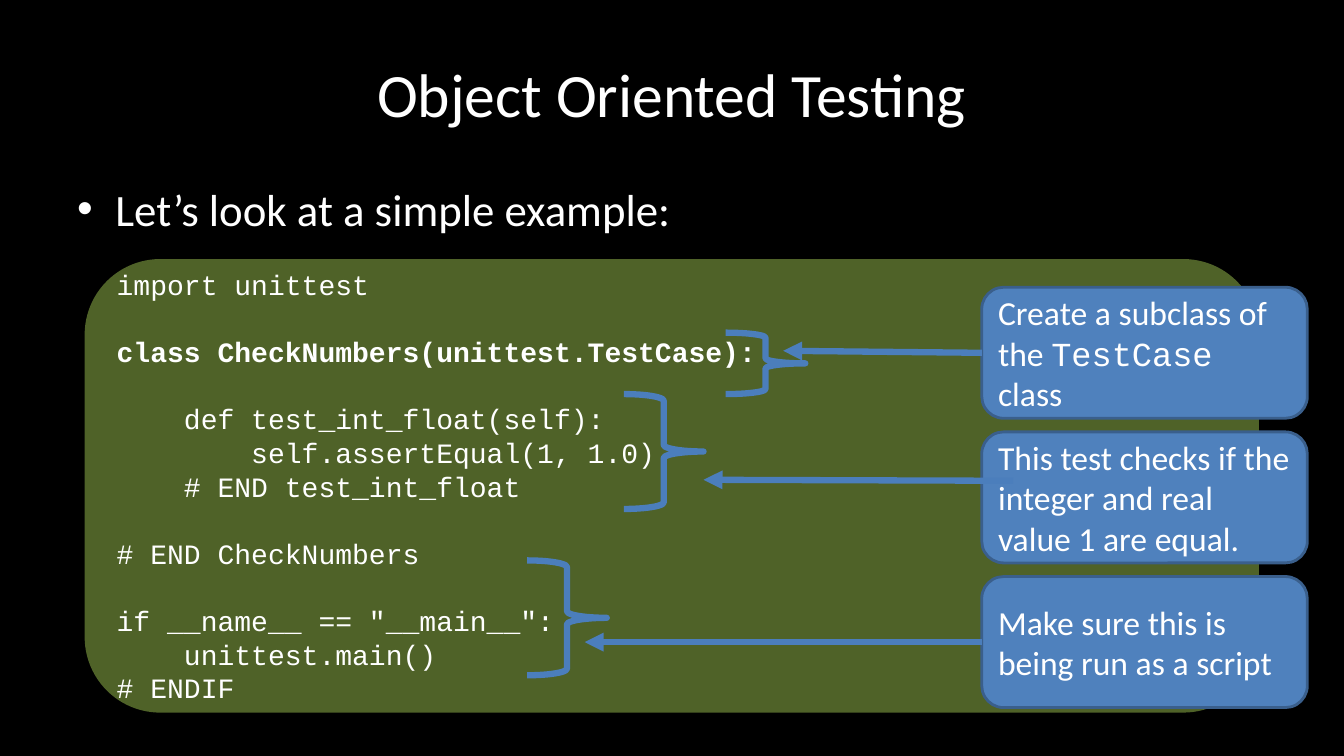
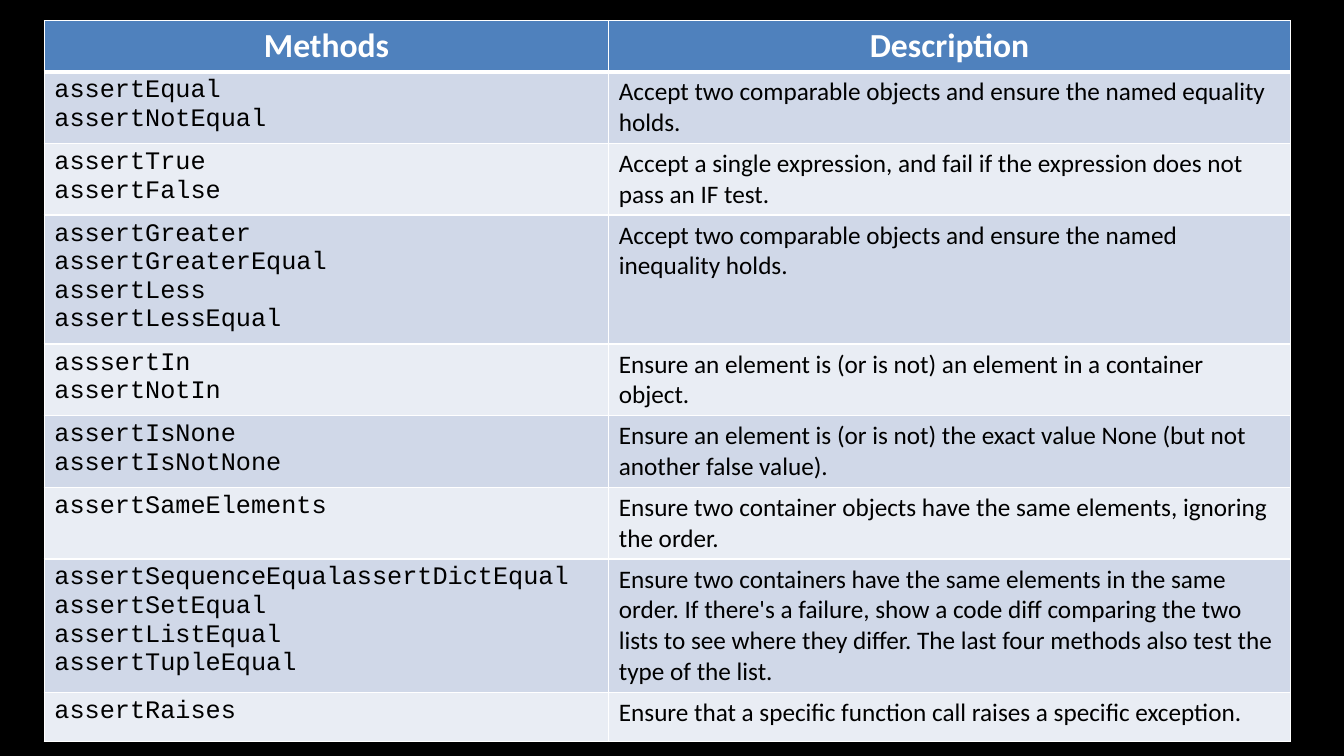
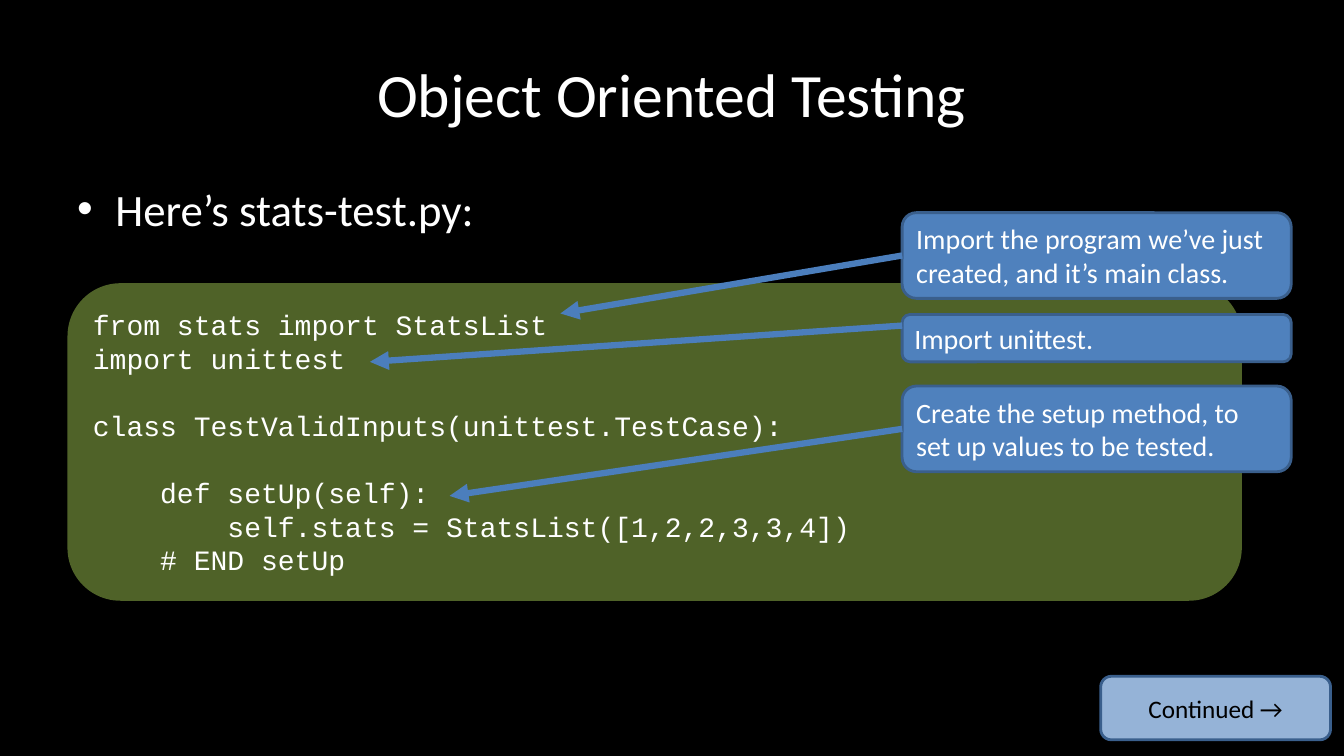
from lxml import etree
from pptx import Presentation
from pptx.dml.color import RGBColor
from pptx.enum.shapes import MSO_CONNECTOR, MSO_SHAPE
from pptx.enum.text import MSO_ANCHOR, PP_ALIGN
from pptx.oxml.ns import qn
from pptx.util import Inches, Pt

ROUND, BRACE = MSO_SHAPE.ROUNDED_RECTANGLE, MSO_SHAPE.RIGHT_BRACE
STRAIGHT = MSO_CONNECTOR.STRAIGHT
LEFT, CENTER = PP_ALIGN.LEFT, PP_ALIGN.CENTER
TOP, MIDDLE = MSO_ANCHOR.TOP, MSO_ANCHOR.MIDDLE
WEST = 1  # connection site on the left side

# Shared look: a grid of 40 columns by 30 rows
WIDTH, HEIGHT = Inches(13.33), Inches(7.5)
COL, ROW = WIDTH / 40, HEIGHT / 30
SANS, MONO = "Calibri", "Courier New"
COLORS = {
    "back": "000000", "white": "FFFFFF", "black": "000000",
    "code": "4F6228", "note": "4F81BD", "edge": "3A5F8C",
    "line": "4B7EBC", "next": "95B3D7", "odd": "D0D8E8", "even": "E9EDF4",
}
TITLE = "Object Oriented Testing"

# Slide 1 content
CHECK = '''import unittest

class CheckNumbers(unittest.TestCase):

    def test_int_float(self):
        self.assertEqual(1, 1.0)
    # END test_int_float

# END CheckNumbers

if __name__ == "__main__":
    unittest.main()
# ENDIF'''
CHECK_NOTES = [  # runs, arrow tip, arrow start if off the side's middle
    ([("Create a subclass of the ", SANS), ("TestCase ", MONO), ("class", SANS)],
     (23.31, 13.92), None),
    ([("This test checks if the integer and real value 1 are equal.", SANS)],
     (20.94, 19.04), (30.15, 19.08)),
    ([("Make sure this is being run as a script", SANS)],
     (17.4, 25.48), None),
]
BRACES = [(21.6, 13.2, 2.44), (18.57, 15.64, 4.56), (15.69, 22.24, 4.56)]

# Slide 2 content
METHODS = [  # row height, methods, description
    (2.76, "assertEqual\nassertNotEqual",
     "Accept two comparable objects and ensure the named equality holds."),
    (2.76, "assertTrue\nassertFalse",
     "Accept a single expression, and fail if the expression does not pass an IF test."),
    (5.12, "assertGreater\nassertGreaterEqual\nassertLess\nassertLessEqual",
     "Accept two comparable objects and ensure the named inequality holds."),
    (2.76, "asssertIn\nassertNotIn",
     "Ensure an element is (or is not) an element in a container object."),
    (2.76, "assertIsNone\nassertIsNotNone",
     "Ensure an element is (or is not) the exact value None (but not another false value)."),
    (2.76, "assertSameElements",
     "Ensure two container objects have the same elements, ignoring the order."),
    (5.12, "assertSequenceEqualassertDictEqual\nassertSetEqual\nassertListEqual\nassertTupleEqual",
     "Ensure two containers have the same elements in the same order. If there's a failure, "
     "show a code diff comparing the two lists to see where they differ. "
     "The last four methods also test the type of the list."),
    (1.96, "assertRaises",
     "Ensure that a specific function call raises a specific exception."),
]

# Slide 3 content
SETUP = '''from stats import StatsList
import unittest

class TestValidInputs(unittest.TestCase):

    def setUp(self):
        self.stats = StatsList([1,2,2,3,3,4])
    # END setUp'''
SETUP_NOTES = [  # top, height, text, arrow tip, arrow start
    (8.44, 3.4, "Import the program we’ve just created, and it’s main class.",
     (16.68, 12.44), None),
    (12.48, 1.88, "Import unittest.", (11.01, 14.36), (26.85, 12.92)),
    (15.32, 3.4, "Create the setup method, to set up values to be tested.",
     (13.38, 19.68), None),
]


def color(name):
    return RGBColor.from_string(COLORS[name])


def place(*nums):
    """Turn column and row pairs into lengths."""
    return [int(n * (ROW if i % 2 else COL)) for i, n in enumerate(nums)]


def style(para, size, ink="white", face=None, bold=False, align=LEFT):
    para.alignment = align
    font = para.font
    font.size, font.bold = Pt(size), bold
    font.color.rgb = color(ink)
    if face:
        font.name = face


def lines(frame, texts):
    """Yield one filled paragraph for each text."""
    for i, text in enumerate(texts):
        para = frame.add_paragraph() if i else frame.paragraphs[0]
        para.add_run().text = text
        yield para


def page(deck):
    slide = deck.slides.add_slide(deck.slide_layouts[6])
    fill = slide.background.fill
    fill.solid()
    fill.fore_color.rgb = color("back")
    return slide


def label(slide, box, text, size, align=LEFT, anchor=TOP, bullet=False):
    frame = slide.shapes.add_textbox(*place(*box)).text_frame
    frame.word_wrap, frame.vertical_anchor = True, anchor
    para, = lines(frame, [text])
    if bullet:
        props = para._p.get_or_add_pPr()
        props.set("marL", str(Inches(0.38)))
        props.set("indent", str(-Inches(0.38)))
        etree.SubElement(props, qn("a:buFont"), typeface="Arial")
        etree.SubElement(props, qn("a:buChar"), char="•")
    style(para, size, face=SANS, align=align)


def heading(slide, point):
    label(slide, (2, 1.2, 36, 5), TITLE, 44, CENTER, MIDDLE)
    label(slide, (2, 7, 36, 19.8), point, 32, bullet=True)


def panel(slide, box, fill, edge=None):
    shape = slide.shapes.add_shape(ROUND, *place(*box))
    shape.shadow.inherit = False
    shape.fill.solid()
    shape.fill.fore_color.rgb = color(fill)
    if edge:
        shape.line.color.rgb = color(edge)
        shape.line.width = Pt(2)
    else:
        shape.line.fill.background()
    frame = shape.text_frame
    frame.word_wrap, frame.vertical_anchor = True, MIDDLE
    return shape


def code(slide, box, text):
    """Show code; an empty line becomes space before the next one."""
    rows = text.split("\n")
    gaps = [i > 0 and not rows[i - 1] for i, row in enumerate(rows) if row]
    frame = panel(slide, box, "code").text_frame
    for para, gap in zip(lines(frame, filter(None, rows)), gaps):
        para.line_spacing = Pt(24)
        if gap:
            para.space_before = Pt(24)
        style(para, 20, face=MONO, bold=para.text.startswith("class Check"))


def note(slide, box, runs, size, fill="note", ink="white", align=LEFT):
    shape = panel(slide, box, fill, "edge")
    para = shape.text_frame.paragraphs[0]
    alone = len(runs) == 1
    for text, face in runs:
        run = para.add_run()
        run.text = text
        if not alone:
            run.font.name = face
    style(para, size, ink, runs[0][1] if alone else None, align=align)
    return shape


def stroke(shape):
    shape.line.color.rgb = color("line")
    shape.line.width = Pt(4.5)


def arrow(slide, shape, tip, start=None):
    """Point from a note, by default from its left side's middle."""
    x, y = place(*start) if start else (shape.left, shape.top + shape.height // 2)
    link = slide.shapes.add_connector(STRAIGHT, x, y, *place(*tip))
    if not start:
        link.begin_connect(shape, WEST)
    stroke(link)
    etree.SubElement(link.line._get_or_add_ln(), qn("a:tailEnd"), type="triangle")
    etree.SubElement(link._element.spPr, qn("a:effectLst"))


def brace(slide, x, y, high):
    shape = slide.shapes.add_shape(BRACE, *place(x, y, 2.37, high))
    shape.shadow.inherit = False
    shape.fill.background()
    stroke(shape)


def border(cell, top=1, bottom=1):
    props = cell._tc.get_or_add_tcPr()
    for side, width in (("L", 1), ("R", 1), ("T", top), ("B", bottom)):
        ln = etree.SubElement(props, qn("a:ln" + side), w=str(Pt(width)))
        fill = etree.SubElement(ln, qn("a:solidFill"))
        etree.SubElement(fill, qn("a:srgbClr"), val=COLORS["white"])


def grid(slide, box, cols, head, body):
    rows = [(1.96, *head)] + body
    table = slide.shapes.add_table(len(rows), len(cols), *place(*box)).table
    table.first_row = table.horz_banding = False
    for col, wide in zip(table.columns, cols):
        col.width = int(wide * COL)
    for i, (high, *texts) in enumerate(rows):
        table.rows[i].height = int(high * ROW)
        for j, text in enumerate(texts):
            cell = table.cell(i, j)
            border(cell, 3 if i == 1 else 1, 1 if i else 3)
            cell.fill.solid()
            band = "odd" if i % 2 else "even"
            cell.fill.fore_color.rgb = color(band if i else "note")
            for para in lines(cell.text_frame, text.split("\n")):
                if i:
                    style(para, 18, "black", SANS if j else MONO)
                else:
                    style(para, 24, face=SANS, bold=True, align=CENTER)


def check(deck):
    slide = page(deck)
    heading(slide, "Let’s look at a simple example:")
    code(slide, (2.52, 10.28, 34.95, 18), CHECK)
    for i, (runs, tip, start) in enumerate(CHECK_NOTES):
        shape = note(slide, (29.22, 11.4 + 5.74 * i, 9.69, 5.2), runs, 24)
        arrow(slide, shape, tip, start)
    for spot in BRACES:
        brace(slide, *spot)


def methods(deck):
    grid(page(deck), (1.32, 0.82, 37.08, 28.36), (16.8, 20.28),
         ("Methods", "Description"), METHODS)


def setup(deck):
    slide = page(deck)
    heading(slide, "Here’s stats-test.py:")
    code(slide, (2.01, 11.24, 34.95, 12.6), SETUP)
    note(slide, (32.76, 26.84, 6.84, 2.52), [("Continued →", SANS)], 18,
         "next", "black", CENTER)
    for top, high, text, tip, start in SETUP_NOTES:
        shape = note(slide, (26.85, top, 11.58, high), [(text, SANS)], 20)
        arrow(slide, shape, tip, start)


def main():
    deck = Presentation()
    deck.slide_width, deck.slide_height = WIDTH, HEIGHT
    check(deck)
    methods(deck)
    setup(deck)
    deck.save("out.pptx")


if __name__ == "__main__":
    main()
